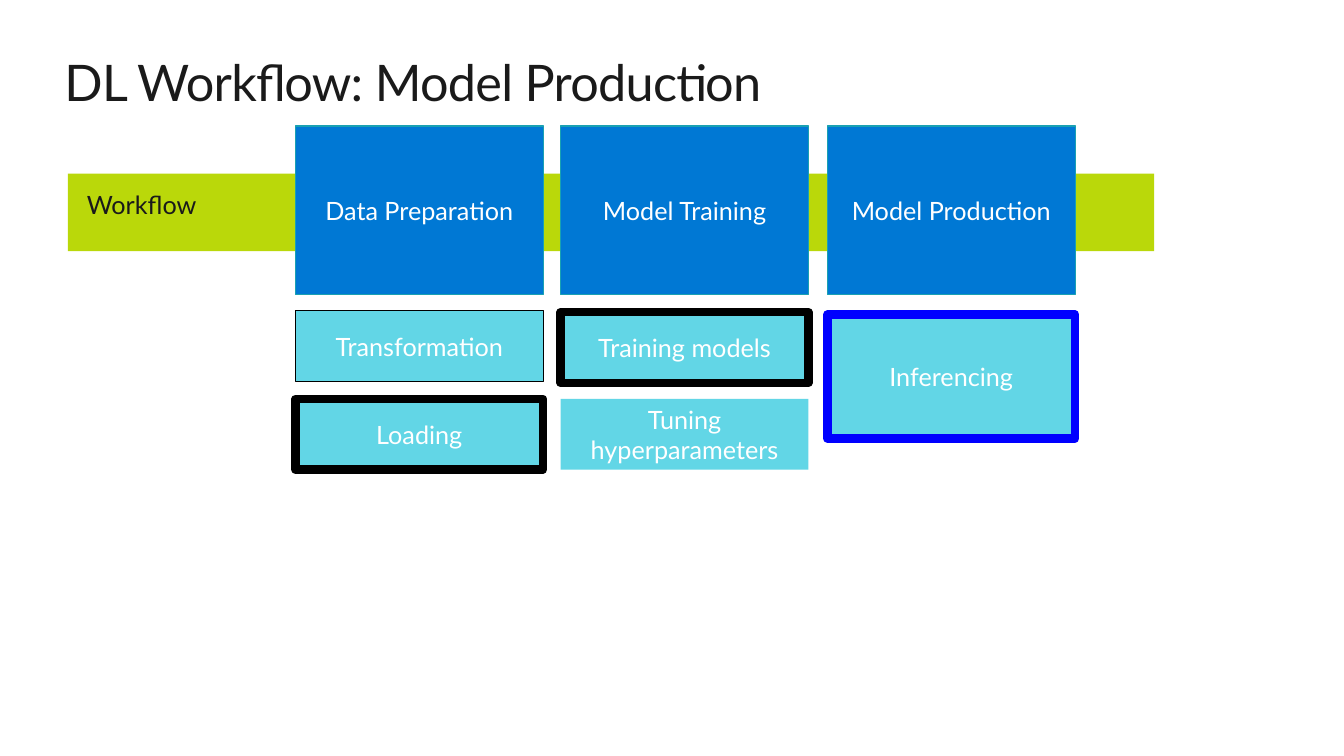
from dataclasses import dataclass
from typing import Optional

from pptx import Presentation
from pptx.dml.color import RGBColor
from pptx.enum.shapes import MSO_SHAPE
from pptx.enum.text import MSO_ANCHOR, PP_ALIGN
from pptx.shapes.autoshape import Shape
from pptx.slide import Slide
from pptx.util import Pt

COLORS = {
    "ink": "1A1A1A",
    "white": "FFFFFF",
    "band": "BAD80A",
    "stage": "0078D4",
    "stage_line": "19A1B3",
    "step": "62D6E6",
    "black": "000000",
    "highlight": "0000FF",
}
FONT = "Lato"
BOX_WIDTH = 177
STAGE_TOP, STAGE_HEIGHT = 90, 120.5
STEP_HEIGHT = 50.5
THIN, THICK = 0.75, 6


@dataclass
class Step:
    text: str
    top: float
    height: float = STEP_HEIGHT
    line: Optional[str] = None
    line_width: float = THICK


@dataclass
class Stage:
    text: str
    left: float
    steps: list[Step]


STAGES = [
    Stage("Data Preparation", 211, [
        Step("Transformation", 222, line="black", line_width=THIN),
        Step("Loading", 285, line="black"),
    ]),
    Stage("Model Training", 400.5, [
        Step("Training models", 223, line="black"),
        Step("Tuning hyperparameters", 285),
    ]),
    Stage("Model Production", 591, [
        Step("Inferencing", 224.75, height=88.5, line="highlight"),
    ]),
]


def color(name: str) -> RGBColor:
    return RGBColor.from_string(COLORS[name])


def place(shape: Shape, left: float, top: float, width: float, height: float) -> None:
    shape.left, shape.top = Pt(left), Pt(top)
    shape.width, shape.height = Pt(width), Pt(height)


def write(shape: Shape, text: str, *, size: float = 18, font_color: str = "white",
          align: PP_ALIGN = PP_ALIGN.CENTER, anchor: MSO_ANCHOR = MSO_ANCHOR.MIDDLE,
          inset_x: float = 5, inset_y: float = 3, spacing: float = 0) -> None:
    """Fill a shape with one formatted paragraph; spacing is between letters."""
    frame = shape.text_frame
    frame.word_wrap = True
    frame.vertical_anchor = anchor
    frame.margin_left = frame.margin_right = Pt(inset_x)
    frame.margin_top = frame.margin_bottom = Pt(inset_y)
    paragraph = frame.paragraphs[0]
    paragraph.alignment = align
    run = paragraph.add_run()
    run.text = text
    run.font.name = FONT
    run.font.size = Pt(size)
    run.font.color.rgb = color(font_color)
    if spacing:
        run.font._element.set("spc", str(round(spacing * 100)))


def add_box(slide: Slide, left: float, top: float, width: float, height: float,
            fill: str, line: Optional[str] = None, line_width: float = THIN) -> Shape:
    box = slide.shapes.add_shape(
        MSO_SHAPE.RECTANGLE, Pt(left), Pt(top), Pt(width), Pt(height))
    box.shadow.inherit = False
    box.fill.solid()
    box.fill.fore_color.rgb = color(fill)
    if line:
        box.line.color.rgb = color(line)
        box.line.width = Pt(line_width)
    else:
        box.line.fill.background()
    return box


def add_stage(slide: Slide, stage: Stage) -> None:
    header = add_box(slide, stage.left, STAGE_TOP, BOX_WIDTH, STAGE_HEIGHT,
                     "stage", "stage_line")
    write(header, stage.text)
    for step in stage.steps:
        box = add_box(slide, stage.left, step.top, BOX_WIDTH, step.height,
                      "step", step.line, step.line_width)
        write(box, step.text)


def main() -> None:
    presentation = Presentation()
    presentation.slide_width, presentation.slide_height = Pt(960), Pt(540)
    slide = presentation.slides.add_slide(presentation.slide_layouts[5])

    title = slide.shapes.title
    place(title, 46, 36, 868, 44)
    write(title, "DL Workflow: Model Production", size=36, font_color="ink",
          align=PP_ALIGN.LEFT, inset_x=0, inset_y=0, spacing=-0.5)

    add_box(slide, 48.5, 124, 776, 55.5, "band")
    label = slide.shapes.add_textbox(Pt(57), Pt(132), Pt(140), Pt(37))
    write(label, "Workflow", font_color="ink", align=PP_ALIGN.LEFT,
          anchor=MSO_ANCHOR.TOP)

    for stage in STAGES:
        add_stage(slide, stage)

    presentation.save("out.pptx")


if __name__ == "__main__":
    main()
